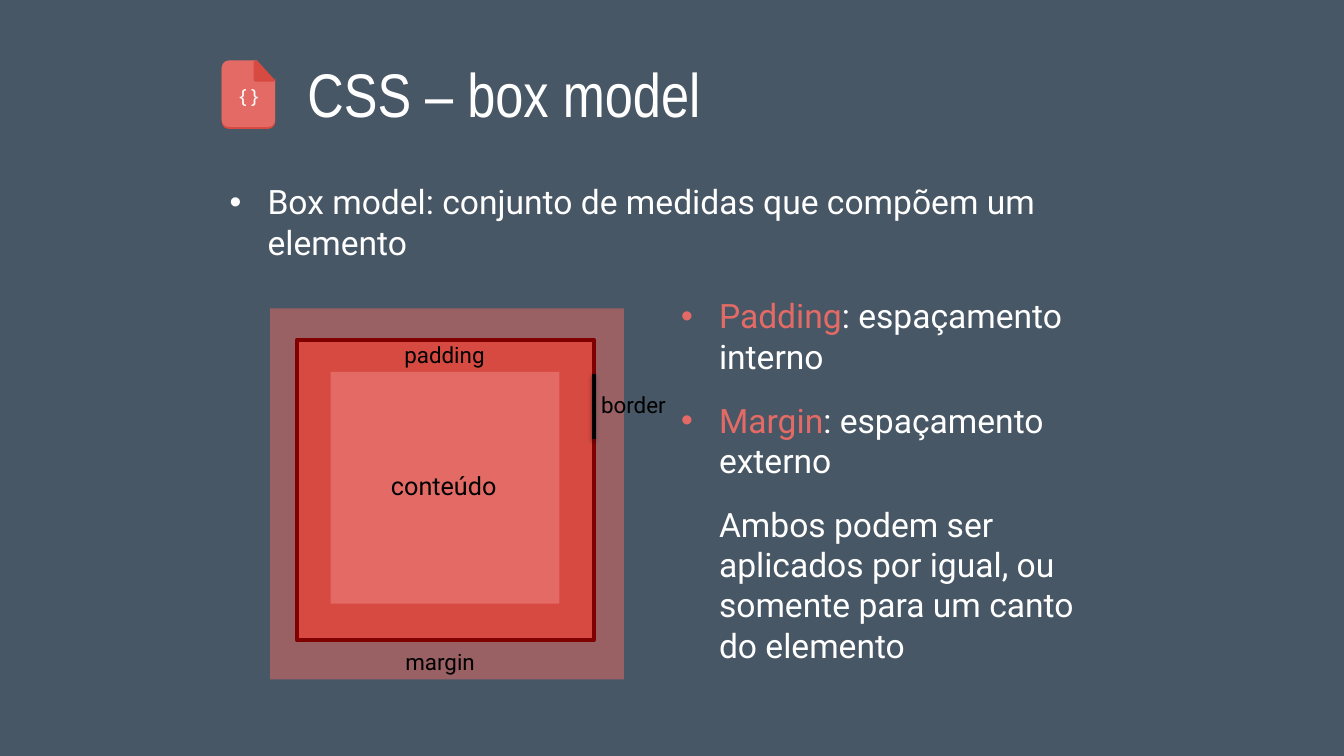
from lxml import etree
from pptx import Presentation
from pptx.dml.color import RGBColor
from pptx.enum.shapes import MSO_CONNECTOR, MSO_SHAPE
from pptx.enum.text import MSO_ANCHOR, MSO_AUTO_SIZE, PP_ALIGN
from pptx.oxml.ns import qn
from pptx.util import Pt

RECTANGLE = MSO_SHAPE.RECTANGLE
ROUNDED = MSO_SHAPE.ROUNDED_RECTANGLE
TRIANGLE = MSO_SHAPE.ISOSCELES_TRIANGLE
STRAIGHT = MSO_CONNECTOR.STRAIGHT
MIDDLE = MSO_ANCHOR.MIDDLE
LEFT = PP_ALIGN.LEFT
NO_FIT = MSO_AUTO_SIZE.NONE
GROW = MSO_AUTO_SIZE.SHAPE_TO_FIT_TEXT

COLORS = {
    "background": "485765",
    "coral": "E46B65",
    "red": "D74A41",
    "maroon": "800000",
    "white": "FFFFFF",
    "black": "000000",
}
INDENT = 27


def add_block(shapes, preset, box, color):
    shape = shapes.add_shape(preset, *(Pt(value) for value in box))
    shape.shadow.inherit = False
    shape.fill.solid()
    shape.fill.fore_color.rgb = RGBColor.from_string(COLORS[color])
    shape.line.fill.background()
    return shape


def add_run(paragraph, text, size, color, font="Roboto"):
    run = paragraph.add_run()
    run.text = text
    run.font.size = Pt(size)
    run.font.name = font
    run.font.color.rgb = RGBColor.from_string(COLORS[color])


presentation = Presentation()
presentation.slide_width = Pt(960)
presentation.slide_height = Pt(540)
slide = presentation.slides.add_slide(presentation.slide_layouts[5])
slide.background.fill.solid()
slide.background.fill.fore_color.rgb = RGBColor.from_string(COLORS["background"])

# Title
title = slide.shapes.title
title.left, title.top, title.width, title.height = Pt(212.4), Pt(21.6), Pt(592), Pt(90)
title.text_frame.auto_size = NO_FIT
title.text_frame.vertical_anchor = MIDDLE
title_paragraph = title.text_frame.paragraphs[0]
title_paragraph.alignment = LEFT
add_run(title_paragraph, "CSS – box model", 44, "white", "Arial Narrow")

# File icon: base edge, sheet, folded corner and the cut that trims it
icon = slide.shapes.add_group_shape()
for box, color, rounding in [
    ((158.4, 44.6, 38.2, 47.5), "red", 0.13),
    ((158.4, 43.2, 38.2, 47.5), "coral", 0.13),
    ((181.2, 43.2, 15.6, 15.1), "red", 0.1),
]:
    add_block(icon.shapes, ROUNDED, box, color).adjustments[0] = rounding
corner_cut = add_block(icon.shapes, TRIANGLE, (187.9, 32.4, 19.4, 20.9), "background")
corner_cut.rotation = 48

# Box model: margin, border with padding, content
margin = add_block(slide.shapes, RECTANGLE, (193, 220.3, 252.7, 265), "coral")
margin_color = margin.fill._xPr.find(qn("a:solidFill"))[0]
etree.SubElement(margin_color, qn("a:alpha")).set("val", "53000")
padding = add_block(slide.shapes, RECTANGLE, (212.4, 242.6, 211.7, 214.6), "red")
padding.line.color.rgb = RGBColor.from_string(COLORS["maroon"])
padding.line.width = Pt(3)
add_block(slide.shapes, RECTANGLE, (236.2, 265.7, 163.4, 165.6), "coral")

# Unwrapped labels, each box a little wider than its text
for shapes, text, box, size, color, font in [
    (icon.shapes, "{}", (161, 56.2, 33.7, 24.5), 14, "white", "Noto Sans Mono"),
    (slide.shapes, "conteúdo", (270, 332.6, 94, 28.8), 18, "black", "Roboto"),
    (slide.shapes, "padding", (279.5, 240.5, 76, 26.6), 16, "black", "Roboto"),
    (slide.shapes, "border", (419, 275.8, 67, 26.6), 16, "black", "Roboto"),
    (slide.shapes, "margin", (280.4, 459.4, 68, 26.6), 16, "black", "Roboto"),
]:
    label = shapes.add_textbox(*(Pt(value) for value in box))
    label.text_frame.word_wrap = False
    label.text_frame.auto_size = GROW
    label_paragraph = label.text_frame.paragraphs[0]
    label_paragraph.alignment = PP_ALIGN.CENTER
    add_run(label_paragraph, text, size, color, font)

# Body texts: each paragraph is a bullet flag and its runs
definition = [(True, [("Box model: conjunto de medidas que compõem um elemento", "white")])]
measures = [
    (True, [("Padding", "coral"), (": espaçamento interno", "white")]),
    (True, [("Margin", "coral"), (": espaçamento externo", "white")]),
    (False, [("Ambos podem ser aplicados por igual, ou somente para um canto do elemento", "white")]),
]
for box, paragraphs in [
    ((157, 126, 646.6, 71.3), definition),
    ((479.5, 207.4, 311, 277.2), measures),
]:
    body = slide.shapes.add_textbox(*(Pt(value) for value in box))
    frame = body.text_frame
    frame.word_wrap = True
    for index, (bulleted, runs) in enumerate(paragraphs):
        paragraph = frame.add_paragraph() if index else frame.paragraphs[0]
        paragraph.space_before = Pt(4.8)
        paragraph.space_after = Pt(12)
        properties = paragraph._p.get_or_add_pPr()
        properties.set("marL", str(Pt(INDENT)))
        if bulleted:
            properties.set("indent", str(-Pt(INDENT)))
            etree.SubElement(properties, qn("a:buFont")).set("typeface", "Arial")
            etree.SubElement(properties, qn("a:buChar")).set("char", "•")
        for text, color in runs:
            add_run(paragraph, text, 24, color)

# Border marker with a soft shadow
marker = slide.shapes.add_connector(STRAIGHT, Pt(424.1), Pt(267.1), Pt(424.1), Pt(313.9))
marker.line.color.rgb = RGBColor.from_string(COLORS["black"])
marker.line.width = Pt(2.75)
effects = etree.SubElement(marker._element.spPr, qn("a:effectLst"))
shadow = etree.SubElement(effects, qn("a:outerShdw"))
for name, value in [("blurRad", Pt(3.1)), ("dist", Pt(1.6)), ("dir", 90 * 60000), ("rotWithShape", 0)]:
    shadow.set(name, str(value))
shadow_color = etree.SubElement(shadow, qn("a:srgbClr"))
shadow_color.set("val", COLORS["black"])
etree.SubElement(shadow_color, qn("a:alpha")).set("val", "38000")

presentation.save("out.pptx")
